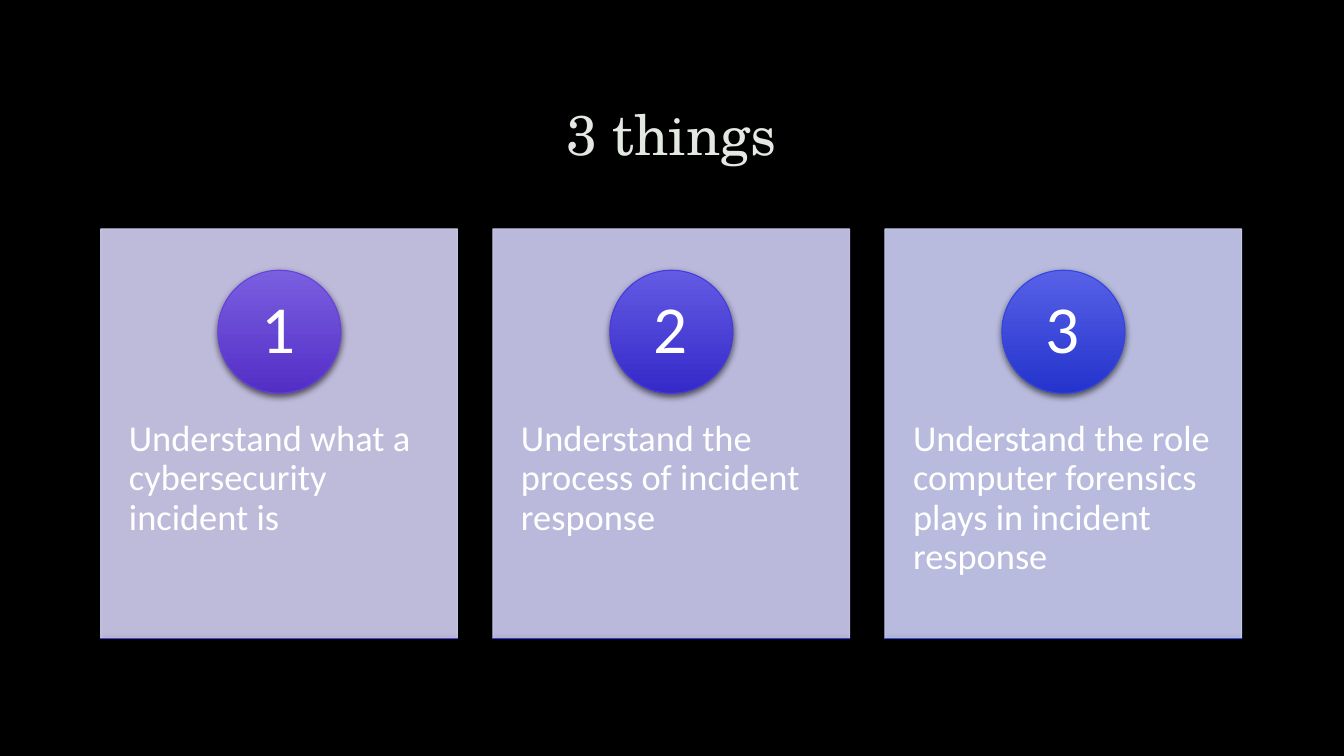
from lxml import etree
from pptx import Presentation
from pptx import util as u
from pptx.dml.color import RGBColor
from pptx.enum import shapes, text
from pptx.oxml import ns

BLACK = RGBColor(0x00, 0x00, 0x00)
WHITE = RGBColor(0xFF, 0xFF, 0xFF)
TITLE = RGBColor(0xE4, 0xE8, 0xE2)
OUTLINE = RGBColor(0x40, 0x40, 0x40)
PANELS = [RGBColor(0xD3, 0xCF, 0xF2), RGBColor(0xCF, 0xCE, 0xF4), RGBColor(0xCD, 0xD0, 0xF6)]
CIRCLES = [
    (RGBColor(0x7A, 0x5F, 0xE0), RGBColor(0x53, 0x2E, 0xC6), RGBColor(0x66, 0x40, 0xDC)),
    (RGBColor(0x63, 0x5B, 0xE3), RGBColor(0x35, 0x29, 0xC9), RGBColor(0x46, 0x39, 0xE0)),
    (RGBColor(0x57, 0x61, 0xE7), RGBColor(0x24, 0x33, 0xCC), RGBColor(0x32, 0x43, 0xE5)),
]
RULES = [
    (RGBColor(0x6F, 0x5D, 0xE1), RGBColor(0x44, 0x2B, 0xC8), RGBColor(0x57, 0x3D, 0xDE)),
    (RGBColor(0x59, 0x5A, 0xE5), RGBColor(0x26, 0x28, 0xCB), RGBColor(0x36, 0x37, 0xE3)),
    (RGBColor(0x56, 0x69, 0xE9), RGBColor(0x22, 0x3F, 0xCD), RGBColor(0x2F, 0x4F, 0xE7)),
]
GOALS = [
    "Understand what a cybersecurity incident is",
    "Understand the process of incident response",
    "Understand the role computer forensics plays in incident response",
]
LEFT, PITCH, WIDTH = 2.54, 9.88, 8.99


def box(left, top, width, height):
    """Return a position and size in centimetres as lengths."""
    return [u.Cm(v) for v in (left, top, width, height)]


def set_all(obj, values):
    """Set each attribute named in a dict."""
    for name, value in values.items():
        setattr(obj, name, value)


def sub(parent, tag, **attrs):
    """Append a DrawingML element and return it."""
    return etree.SubElement(parent, ns.qn(tag), attrs)


def add_text(s, place, words, font, align=text.PP_ALIGN.LEFT,
             anchor=text.MSO_ANCHOR.TOP, inset=(0.25, 0.13)):
    """Add a wrapped text box and return its run."""
    tf = s.add_textbox(*box(*place)).text_frame
    side, end = (u.Cm(v) for v in inset)
    set_all(tf, dict(word_wrap=True, vertical_anchor=anchor, margin_left=side,
                     margin_right=side, margin_top=end, margin_bottom=end))
    p = tf.paragraphs[0]
    set_all(p, dict(alignment=align, line_spacing=0.9))
    r = p.add_run()
    r.text = words
    color = font.pop("color")
    set_all(r.font, font)
    r.font.color.rgb = color
    return r


def add_panel(s, place, color):
    """Add a slightly transparent rectangle."""
    sp = s.add_shape(shapes.MSO_SHAPE.RECTANGLE, *box(*place))
    sp.shadow.inherit = False
    sp.line.width = u.Pt(0.75)
    for fill in (sp.fill, sp.line.fill):
        fill.solid()
        fill.fore_color.rgb = color
    for clr in sp._element.spPr.iter(ns.qn("a:srgbClr")):
        sub(clr, "a:alpha", val="90000")


def add_glossy(s, kind, place, colors):
    """Add a shape with a vertical gradient and a soft shadow."""
    sp = s.add_shape(kind, *box(*place))
    sp.shadow.inherit = False
    sp.fill.gradient()
    sp.fill.gradient_angle = 270
    for stop, position, color in zip(sp.fill.gradient_stops, (0, 1), colors):
        stop.color.rgb = color
        stop.position = position
    sp.line.width = u.Pt(0.75)
    sp.line.color.rgb = colors[2]
    effects = sp._element.spPr.find(ns.qn("a:effectLst"))
    shadow = sub(effects, "a:outerShdw", blurRad=str(u.Pt(5)), dist=str(u.Pt(2)),
                 dir="5400000", algn="ctr", rotWithShape="0")
    sub(sub(shadow, "a:srgbClr", val=str(BLACK)), "a:alpha", val="60000")


def add_title(s, words):
    """Add the centred title with a faint letter outline."""
    font = dict(name="TeX Gyre Schola", size=u.Pt(40), color=TITLE)
    r = add_text(s, (LEFT, 1.7, 28.75, 3.5), words, font,
                 text.PP_ALIGN.CENTER, text.MSO_ANCHOR.MIDDLE)
    rpr = r.font._element
    ln = sub(rpr, "a:ln", w=str(u.Pt(0.75)))
    clr = sub(sub(ln, "a:solidFill"), "a:srgbClr", val=str(OUTLINE))
    sub(clr, "a:alpha", val="10000")
    rpr.insert(0, ln)


def add_card(s, i, goal):
    """Add one numbered card with its goal and bottom rule."""
    left = LEFT + i * PITCH
    add_panel(s, (left, 5.77, WIDTH, 10.31), PANELS[i])
    add_text(s, (left, 9.68, WIDTH, 6.2), goal,
             dict(name="Calibri", size=u.Pt(26), color=WHITE), inset=(0.71, 0.91))
    add_glossy(s, shapes.MSO_SHAPE.OVAL, (left + 2.95, 6.81, 3.1, 3.1), CIRCLES[i])
    add_text(s, (left + 3.4, 7.26, 2.18, 2.18), str(i + 1),
             dict(name="Calibri", size=u.Pt(48), color=WHITE),
             text.PP_ALIGN.CENTER, text.MSO_ANCHOR.MIDDLE, (0.25, 0.03))
    add_glossy(s, shapes.MSO_SHAPE.RECTANGLE, (left, 16.08, WIDTH, 0), RULES[i])


def main():
    """Build the slide and save it."""
    prs = Presentation()
    set_all(prs, dict(slide_width=u.Cm(33.87), slide_height=u.Cm(19.05)))
    slide = prs.slides.add_slide(prs.slide_layouts[6])
    slide.background.fill.solid()
    slide.background.fill.fore_color.rgb = BLACK
    add_title(slide.shapes, "3 things")
    cards = slide.shapes.add_group_shape().shapes
    for i, goal in enumerate(GOALS):
        add_card(cards, i, goal)
    prs.save("out.pptx")


if __name__ == "__main__":
    main()
